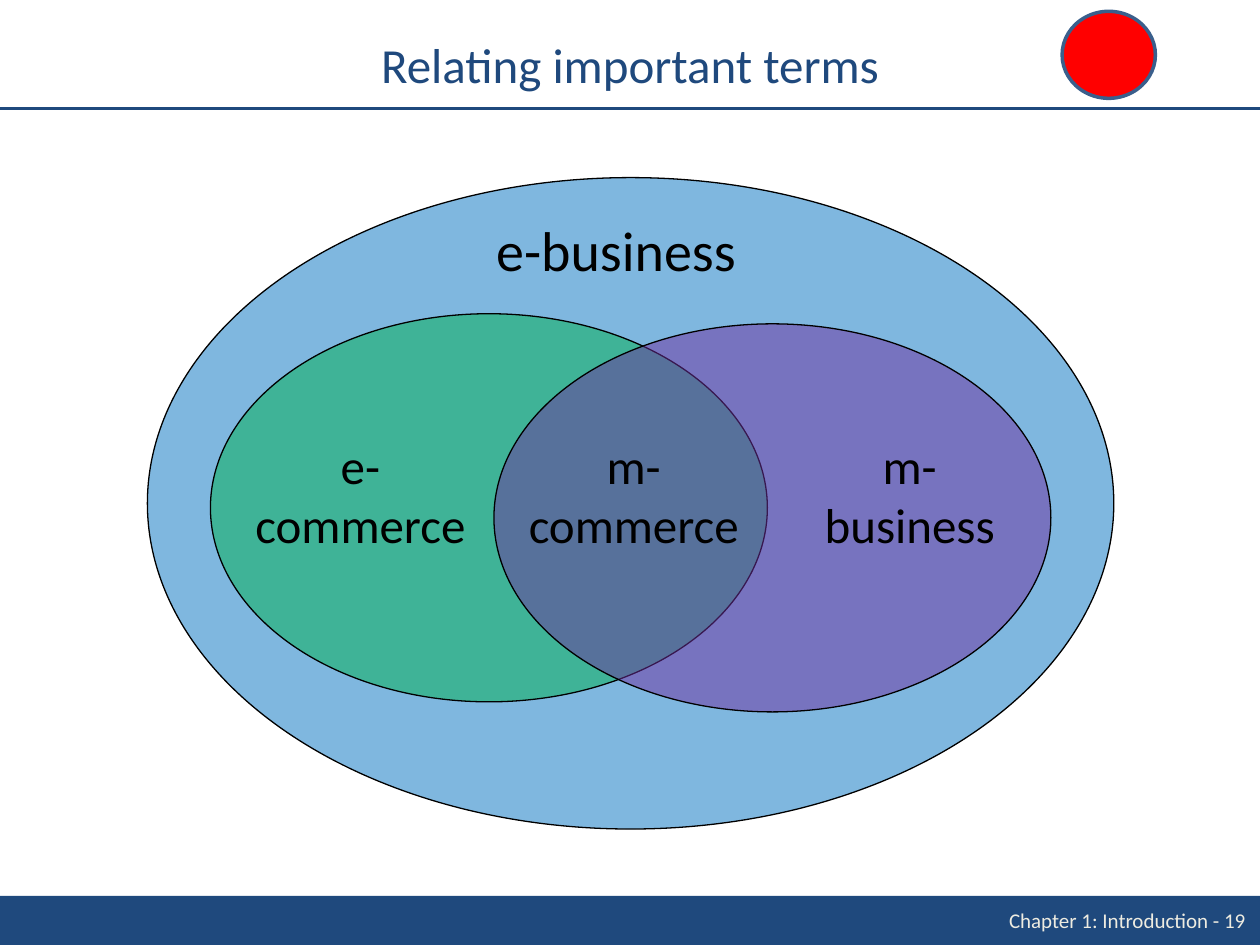
from lxml import etree
from pptx import Presentation
from pptx.dml.color import RGBColor
from pptx.enum.shapes import MSO_CONNECTOR, MSO_SHAPE
from pptx.enum.text import MSO_ANCHOR, PP_ALIGN
from pptx.oxml.ns import qn
from pptx.util import Inches, Pt

OVAL, RECT = MSO_SHAPE.OVAL, MSO_SHAPE.RECTANGLE
STRAIGHT = MSO_CONNECTOR.STRAIGHT
LEFT, CENTER = PP_ALIGN.LEFT, PP_ALIGN.CENTER
TOP, MIDDLE = MSO_ANCHOR.TOP, MSO_ANCHOR.MIDDLE
FONT = "Calibri"
COLORS = {
    "navy": "1F497D", "cream": "EEECE1", "black": "000000",
    "blue": "0070C0", "green": "00B050", "purple": "7030A0",
    "red": "FF0000", "marker_line": "3A5F8C",
}


def rgb(name):
    return RGBColor.from_string(COLORS[name])


def write(sp, text, size, color="black", align=CENTER, anchor=TOP, wrap=False):
    tf = sp.text_frame
    tf.word_wrap = wrap
    tf.vertical_anchor = anchor
    tf.text = text
    for p in tf.paragraphs:
        p.alignment = align
        for r in p.runs:
            r.font.name = FONT
            r.font.size = Pt(size)
            r.font.color.rgb = rgb(color)


def add_text(s, box, text, size, **fmt):
    sp = s.shapes.add_textbox(*map(Inches, box))
    write(sp, text, size, **fmt)


def add_filled(s, kind, box, fill, line=None, width=0.75, alpha=None):
    sp = s.shapes.add_shape(kind, *map(Inches, box))
    sp.shadow.inherit = False
    sp.fill.solid()
    sp.fill.fore_color.rgb = rgb(fill)
    if alpha:
        clr = sp.fill._xPr.find(".//" + qn("a:srgbClr"))
        etree.SubElement(clr, qn("a:alpha"), val=str(alpha * 1000))
    if line:
        sp.line.color.rgb = rgb(line)
        sp.line.width = Pt(width)
    else:
        sp.line.fill.background()


def add_header(s, box):
    x, y, w, h = box
    cn = s.shapes.add_connector(STRAIGHT, *map(Inches, (x, y + h, x + w, y + h)))
    cn.line.color.rgb = rgb("navy")
    cn.line.width = Pt(1.5)
    etree.SubElement(cn._element.spPr, qn("a:effectLst"))
    title = s.shapes.title
    title.left, title.top, title.width, title.height = map(
        Inches, (x + 0.5, y + 0.23, w - 1, 0.55))
    write(title, "Relating important terms", 28, color="navy", anchor=MIDDLE, wrap=True)
    add_filled(s, OVAL, (x + 8.43, y + 0.09, 0.74, 0.69), "red", "marker_line", 2)


def add_venn(s, box):
    x, y, w, h = box
    inner = (4.42, 3.08)
    ovals = [
        (0, 0, w, h, "blue"),
        (0.5, 1.08, *inner, "green"),
        (2.75, 1.16, *inner, "purple"),
    ]
    for dx, dy, ow, oh, fill in ovals:
        add_filled(s, OVAL, (x + dx, y + dy, ow, oh), fill, "black", alpha=50)
    add_text(s, (x + 2.67, y + 0.25, 2.37, 0.64), "e-business", 32, align=LEFT)
    labels = [
        (0.67, 2.04, "e-\ncommerce"),
        (2.84, 2.04, "m-\ncommerce"),
        (5.17, 1.76, "m-\nbusiness"),
    ]
    for dx, lw, text in labels:
        add_text(s, (x + dx, y + 2, lw, 1.04), text, 28)


def add_footer(s, box):
    x, y, w, h = box
    add_filled(s, RECT, box, "navy")
    add_text(s, (x + w - 2.09, y, 2.09, h), "Chapter 1: Introduction - 19", 12,
             color="cream", align=LEFT, anchor=MIDDLE)


def main():
    prs = Presentation()
    prs.slide_width, prs.slide_height = Inches(10), Inches(7.5)
    s = prs.slides.add_slide(prs.slide_layouts[5])
    add_footer(s, (0, 7.11, 10, 0.39))
    add_header(s, (0, 0, 10, 0.86))
    add_venn(s, (1.17, 1.41, 7.67, 5.17))
    prs.save("out.pptx")


if __name__ == "__main__":
    main()
